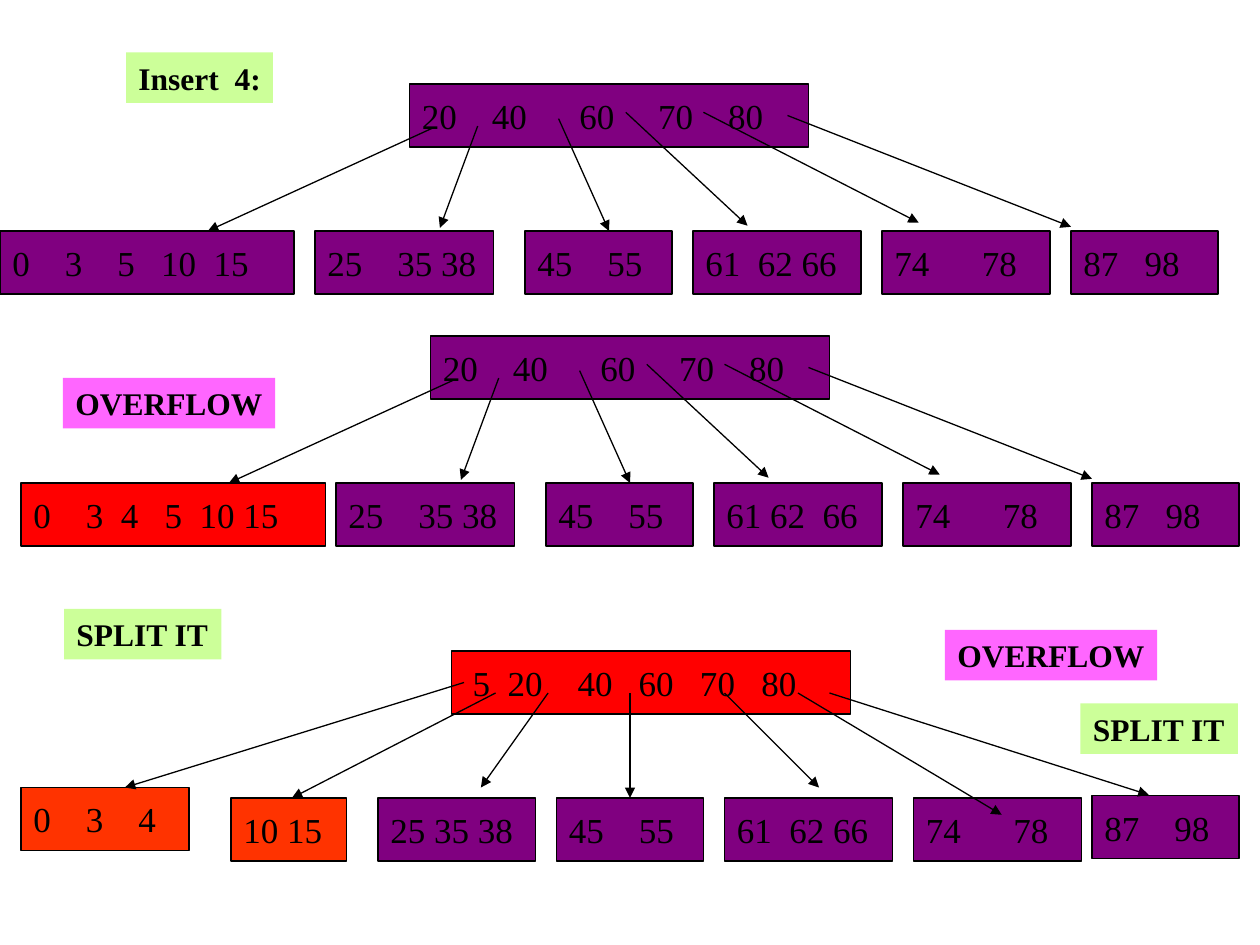
import lxml.etree
import pptx
import pptx.dml.color
import pptx.enum.shapes
import pptx.enum.text
import pptx.oxml.ns
import pptx.util

RGB = pptx.dml.color.RGBColor
BLACK = RGB(0x00, 0x00, 0x00)
PURPLE = RGB(0x80, 0x00, 0x80)
RED = RGB(0xFF, 0x00, 0x00)
ORANGE = RGB(0xFF, 0x33, 0x00)
GREEN = RGB(0xCC, 0xFF, 0x99)
PINK = RGB(0xFF, 0x66, 0xFF)

FONT = "Times New Roman"
SCALE = 7620  # EMU in one px, 120 px to the inch
HIGH = 60     # height of a node
SIZE = 20     # key size in points; a digit is half of it, a space a quarter


def px(num):
    return pptx.util.Emu(num * SCALE)


def sub(node, tag, **attrs):
    return lxml.etree.SubElement(node, pptx.oxml.ns.qn(tag), attrs)


def add_box(slide, x, y, w, h, fill):
    kind = pptx.enum.shapes.MSO_SHAPE.RECTANGLE
    box = slide.shapes.add_shape(kind, px(x), px(y), px(w), px(h))
    box.shadow.inherit = False
    box.fill.solid()
    box.fill.fore_color.rgb = fill
    frame = box.text_frame
    frame.word_wrap = True
    frame.margin_left = frame.margin_right = px(12)
    frame.margin_top = frame.margin_bottom = px(6)
    frame.paragraphs[0].alignment = pptx.enum.text.PP_ALIGN.LEFT
    return box


def add_run(para, text, size, bold=False):
    run = para.add_run()
    run.text = text
    run.font.name = FONT
    run.font.size = pptx.util.Pt(size)
    run.font.bold = bold
    run.font.color.rgb = BLACK


def add_label(slide, x, y, w, text, fill):
    box = add_box(slide, x, y, w, 48, fill)
    box.line.fill.background()
    frame = box.text_frame
    frame.margin_right = px(0)  # spare room keeps the label on one line
    frame.vertical_anchor = pptx.enum.text.MSO_ANCHOR.TOP
    add_run(frame.paragraphs[0], text, 18, True)


def add_node(slide, x, y, w, keys, gaps, fill=PURPLE, inset=12):
    """Draw a node; gaps are the widths between its keys, in spaces."""
    box = add_box(slide, x, y, w, HIGH, fill)
    box.line.color.rgb = BLACK
    box.line.width = pptx.util.Pt(0.75)
    frame = box.text_frame
    frame.margin_left = px(inset)
    frame.vertical_anchor = pptx.enum.text.MSO_ANCHOR.MIDDLE
    para = frame.paragraphs[0]
    tabs = sub(para._p.get_or_add_pPr(), "a:tabLst")
    words = keys.split()
    stop = 0
    for word, gap in zip(words, gaps):
        stop += len(word) * SIZE / 2 + gap * SIZE / 4
        sub(tabs, "a:tab", pos=str(pptx.util.Pt(stop)), algn="l")
    add_run(para, "\t".join(words), SIZE)
    return box


def add_arrow(slide, x1, y1, x2, y2, boxes):
    kind = pptx.enum.shapes.MSO_CONNECTOR.STRAIGHT
    line = slide.shapes.add_connector(kind, px(x1), px(y1), px(x2), px(y2))
    line.line.color.rgb = BLACK
    line.line.width = pptx.util.Pt(0.75)
    sub(line.line._get_or_add_ln(), "a:tailEnd", type="triangle")
    sub(line._element.spPr, "a:effectLst")
    for box in boxes:
        if (box.left + box.width // 2, box.top) == (px(x2), px(y2)):
            line.end_connect(box, 0)


def add_tree(slide, left, top, root, leaves, arrows):
    """Draw root, leaves and arrows, all relative to (left, top)."""
    x, *rest = root
    add_node(slide, left + x, top, 380, *rest)
    boxes = [add_node(slide, left + x, top + y, *rest)
             for x, y, *rest in leaves]
    for x1, y1, x2, y2 in arrows:
        add_arrow(slide, left + x1, top + y1, left + x2, top + y2, boxes)


# Parts shared by the first two trees
ROOT = (390, "20 40 60 70 80", (4, 6, 5, 4))
ARROWS = [(412, 42, 198, 140), (455, 40, 419, 137), (532, 33, 580, 140),
          (596, 27, 712, 135), (670, 27, 875, 132), (750, 30, 1020, 136)]


def six_leaves(first, gaps):
    """Leaves of a six-way tree: first leaf and the fourth's gaps vary."""
    return [(0, 140, *first),
            (300, 140, 170, "25 35 38", (4, 1)),
            (500, 140, 140, "45 55", (4,)),
            (660, 140, 160, "61 62 66", gaps),
            (840, 140, 160, "74 78", (6,)),
            (1020, 140, 140, "87 98", (3,))]


# Tree after the leaf is split
SPLIT_ROOT = (430, "5 20 40 60 70 80", (2, 4, 3, 3, 3), RED, 20)
SPLIT_LEAVES = [(20, 130, 160, "0 3 4", (4, 4), ORANGE),
                (220, 140, 110, "10 15", (1,), ORANGE),
                (360, 140, 150, "25 35 38", (1, 1)),
                (530, 140, 140, "45 55", (4,)),
                (690, 140, 160, "61 62 66", (2, 1)),
                (870, 140, 160, "74 78", (6,)),
                (1040, 138, 140, "87 98", (4,))]
SPLIT_ARROWS = [(442, 30, 119, 130), (472, 40, 278, 140),
                (522, 40, 458, 130), (600, 40, 600, 140),
                (690, 40, 780, 130), (760, 40, 954, 156),
                (790, 40, 1094, 137)]

LABELS = [(120, 50, 140, "Insert  4:", GREEN),
          (60, 360, 202, "OVERFLOW", PINK),
          (61, 580, 150, "SPLIT IT", GREEN),
          (900, 600, 202, "OVERFLOW", PINK),
          (1029, 670, 150, "SPLIT IT", GREEN)]


def main():
    deck = pptx.Presentation()
    deck.slide_width, deck.slide_height = px(1200), px(900)
    slide = deck.slides.add_slide(deck.slide_layouts[6])

    # Before the insert
    first = (280, "0 3 5 10 15", (4, 4, 3, 2))
    add_tree(slide, 0, 80, ROOT, six_leaves(first, (2, 1)), ARROWS)

    # Leaf overflows
    first = (290, "0 3 4 5 10 15", (4, 2, 3, 2, 1), RED)
    add_tree(slide, 20, 320, ROOT, six_leaves(first, (1, 2)), ARROWS)

    # Leaf split, root overflows
    add_tree(slide, 0, 620, SPLIT_ROOT, SPLIT_LEAVES, SPLIT_ARROWS)

    for label in LABELS:
        add_label(slide, *label)
    deck.save("out.pptx")


if __name__ == "__main__":
    main()
